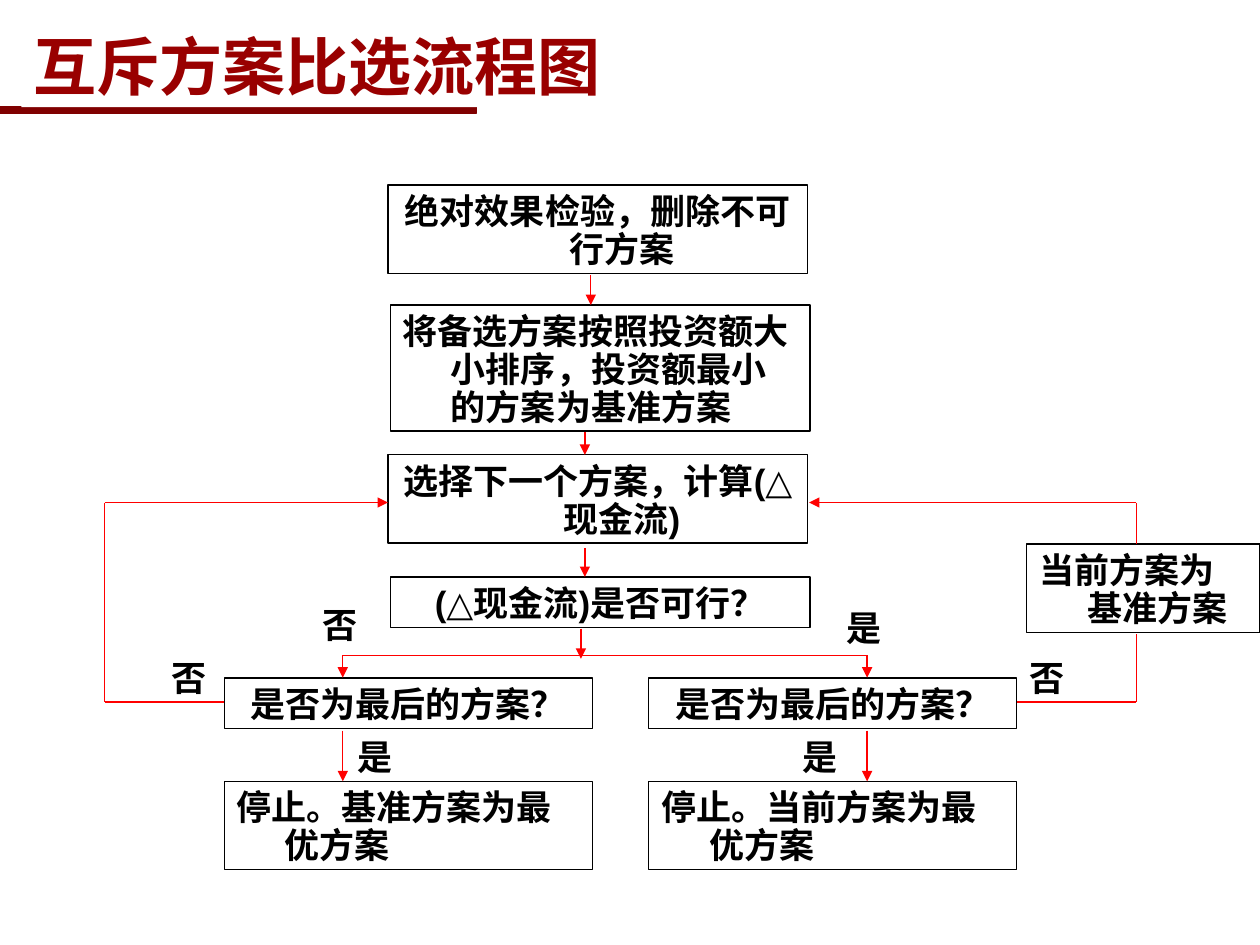
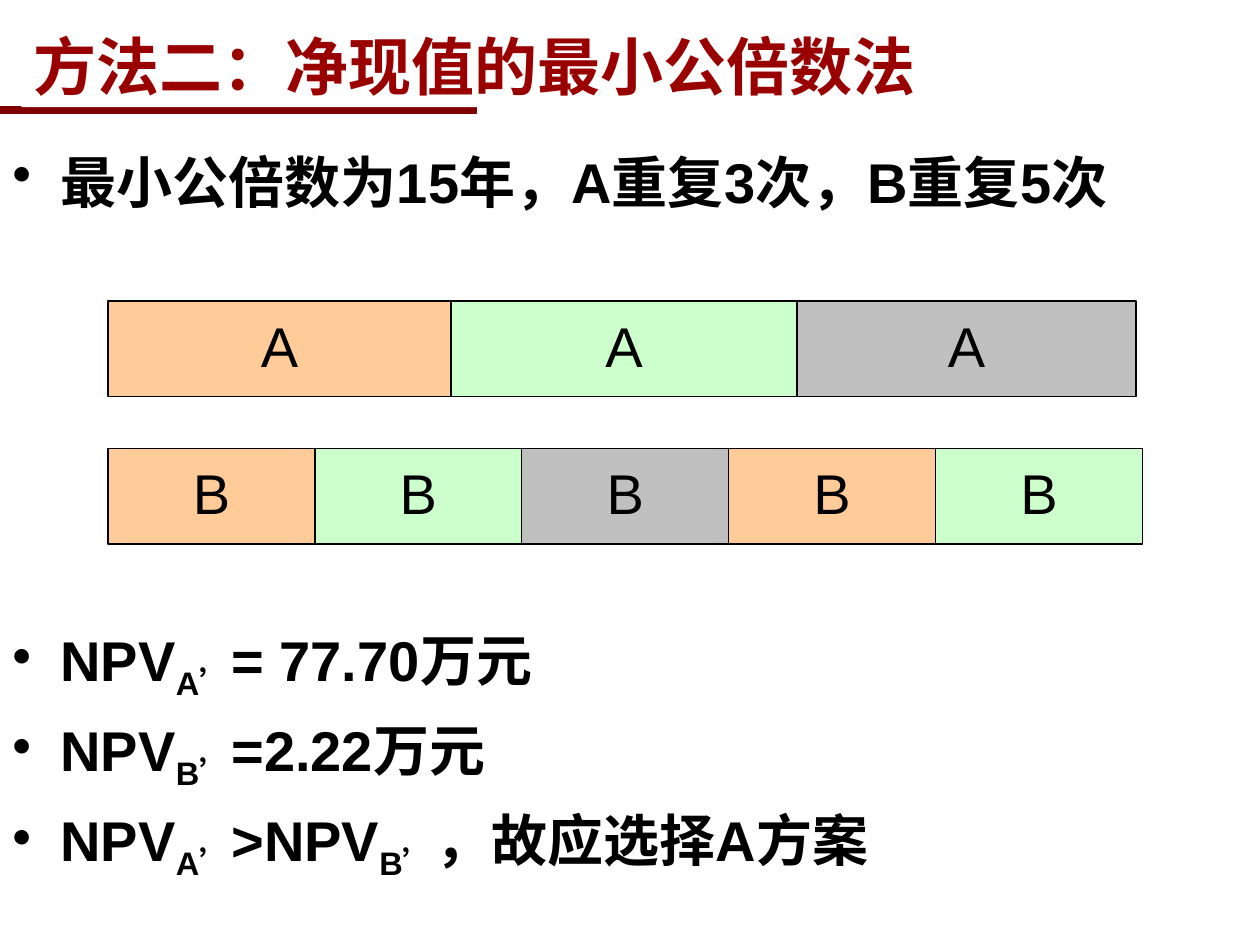
from dataclasses import dataclass
from itertools import cycle, pairwise

from lxml import etree
from pptx import Presentation
from pptx import util as u
from pptx.dml.color import RGBColor
from pptx.enum import shapes, text
from pptx.oxml.ns import qn

Cm, Pt = u.Cm, u.Pt
LEFT, CENTER = text.PP_ALIGN.LEFT, text.PP_ALIGN.CENTER
TOP, MIDDLE = text.MSO_ANCHOR.TOP, text.MSO_ANCHOR.MIDDLE


@dataclass(frozen=True)
class Theme:
    latin: str = "Arial"
    cjk: str = "Noto Sans CJK SC"
    white: str = "FFFFFF"
    ink: str = "000000"
    title: str = "990000"
    band: str = "800000"
    arrow: str = "FF0000"
    cells: tuple = ("FFCC99", "CCFFCC", "C0C0C0")
    title_size: int = 36
    body_size: int = 32
    flow_size: int = 20
    body_pitch: float = 43.5
    flow_pitch: float = 21.6
    line: float = 0.75
    hang: float = 0.97


class Deck:
    def __init__(self, theme):
        self.theme = theme
        self.prs = Presentation()
        self.prs.slide_width, self.prs.slide_height = Cm(25.4), Cm(19.05)
        self.s = None

    def slide(self, title):
        """Start a slide with the shared band and title."""
        t = self.theme
        self.s = self.prs.slides.add_slide(self.prs.slide_layouts[6])
        self.rect((0, 2.16, 9.6, 0.13), t.band, t.band)
        sp = self.rect((0.43, 0.46, 22.71, 1.7), t.white)
        tf = self.frame(sp, vertical_anchor=MIDDLE)
        self.put_run(tf.paragraphs[0], title, t.title_size, t.title)

    def rect(self, at, fill=None, line=None):
        sp = self.s.shapes.add_shape(shapes.MSO_SHAPE.RECTANGLE, *map(Cm, at))
        sp.shadow.inherit = False
        if fill:
            sp.fill.solid()
            sp.fill.fore_color.rgb = RGBColor.from_string(fill)
        else:
            sp.fill.background()
        if line:
            sp.line.color.rgb = RGBColor.from_string(line)
            sp.line.width = Pt(self.theme.line)
        else:
            sp.line.fill.background()
        return sp

    def frame(self, sp, **changes):
        values = {
            "word_wrap": True,
            "vertical_anchor": TOP,
            "margin_left": Cm(0.25),
            "margin_right": Cm(0.25),
            "margin_top": Cm(0.13),
            "margin_bottom": Cm(0.13),
        }
        for name, value in (values | changes).items():
            setattr(sp.text_frame, name, value)
        return sp.text_frame

    def put_run(self, p, words, size, color, bold=True, align=LEFT, sub=False):
        p.alignment = align
        r = p.add_run()
        r.text = words
        style = {"name": self.theme.latin, "size": Pt(size), "bold": bold}
        for name, value in style.items():
            setattr(r.font, name, value)
        r.font.color.rgb = RGBColor.from_string(color)
        rPr = r.font._element
        if sub:
            rPr.set("baseline", "-25000")
        ea = etree.Element(qn("a:ea"), typeface=self.theme.cjk)
        rPr.find(qn("a:latin")).addnext(ea)

    def hang(self, p, bullet=None):
        pPr = p._p.get_or_add_pPr()
        indent = Cm(self.theme.hang)
        pPr.set("marL", str(indent))
        pPr.set("indent", str(-indent))
        if bullet:
            etree.SubElement(pPr, qn("a:buChar"), char=bullet)

    def flow_text(self, sp, words, align=LEFT):
        t = self.theme
        p = self.frame(sp, margin_top=Cm(0.18)).paragraphs[0]
        self.hang(p)
        p.line_spacing = Pt(t.flow_pitch)
        self.put_run(p, words, t.flow_size, t.ink, align=align)

    def step(self, at, words, align=LEFT):
        self.flow_text(self.rect(at, line=self.theme.ink), words, align)

    def label(self, x, y, words):
        sp = self.s.shapes.add_textbox(*map(Cm, (x, y, 1.32, 1.02)))
        self.flow_text(sp, words)

    def route(self, *points, arrow=True):
        """Join the points with straight lines, the last one arrowed."""
        for start, end in pairwise(points):
            c = self.s.shapes.add_connector(
                shapes.MSO_CONNECTOR.STRAIGHT, *map(Cm, start + end))
            c.line.color.rgb = RGBColor.from_string(self.theme.arrow)
            c.line.width = Pt(self.theme.line)
            if arrow and end == points[-1]:
                etree.SubElement(c.line._get_or_add_ln(), qn("a:tailEnd"), type="triangle")
            etree.SubElement(c._element.spPr, qn("a:effectLst"))

    def bullets(self, at, lines):
        """Add bulleted lines; every second part of a line is a subscript."""
        t = self.theme
        sp = self.s.shapes.add_textbox(*map(Cm, at))
        tf = self.frame(sp, margin_right=0)
        for i, parts in enumerate(lines):
            p = tf.add_paragraph() if i else tf.paragraphs[0]
            self.hang(p, "•")
            p.line_spacing = Pt(t.body_pitch)
            p.space_before = Pt(8 if i else 0)
            for k, words in enumerate(parts):
                self.put_run(p, words, t.body_size, t.ink, sub=k % 2 == 1)

    def period_row(self, y, name, widths):
        """Draw one plan's repeated lives side by side."""
        t = self.theme
        x = 2.18
        for width, fill in zip(widths, cycle(t.cells)):
            sp = self.rect((x, y, width, 1.93), fill, t.ink)
            tf = self.frame(sp, word_wrap=False, vertical_anchor=MIDDLE)
            p = tf.paragraphs[0]
            p.line_spacing = 0.9
            self.put_run(p, name, t.body_size, t.ink, bold=False, align=CENTER)
            x += width


def selection_flow(deck):
    deck.slide("互斥方案比选流程图")
    main_w, branch_w = 8.46, 7.42
    one, two, three = 1.02, 1.78, 2.54  # heights by number of text lines
    no_x, yes_x = 6.91, 17.48
    left_x, right_x, loop_y, exit_y, split_y = 2.11, 22.91, 10.13, 14.15, 13.21

    deck.step((7.82, 3.73, main_w, two), "绝对效果检验，删除不可行方案", CENTER)
    deck.step((7.87, 6.15, main_w, three),
              "将备选方案按照投资额大小排序，投资额最小的方案为基准方案")
    deck.step((7.82, 9.17, main_w, two), "选择下一个方案，计算(△现金流)", CENTER)
    deck.step((7.87, 11.63, main_w, one), "(△现金流)是否可行？", CENTER)
    for x, best in ((4.52, "基准"), (13.08, "当前")):
        deck.step((x, 13.67, branch_w, one), "是否为最后的方案？", CENTER)
        deck.step((x, 15.75, branch_w, two), f"停止。{best}方案为最优方案")
    deck.step((20.7, 10.97, 4.7, two), "当前方案为基准方案")

    for x, top, bottom in ((11.91, 5.54, 6.15), (11.79, 8.71, 9.17),
                           (11.79, 11.05, 11.63), (11.71, 12.67, 13.28)):
        deck.route((x, top), (x, bottom))
    deck.route((no_x, split_y), (yes_x, split_y), arrow=False)
    for x in (no_x, yes_x):
        deck.route((x, split_y), (x, 13.66))
        deck.route((x, 14.73), (x, 15.75))
    deck.route((4.52, exit_y), (left_x, exit_y), (left_x, loop_y), (7.82, loop_y))
    deck.route((20.5, exit_y), (right_x, exit_y), (right_x, 12.78), arrow=False)
    deck.route((right_x, 10.97), (right_x, loop_y), (16.31, loop_y))

    for x, y, answer in ((16.81, 12.14, "是"), (6.25, 12.07, "否"),
                         (3.2, 13.13, "否"), (20.5, 13.13, "否"),
                         (6.96, 14.73, "是"), (15.93, 14.73, "是")):
        deck.label(x, y, answer)


def common_multiple(deck):
    deck.slide("方法二：净现值的最小公倍数法")
    deck.bullets((0, 2.67, 25.4, 1.8), [["最小公倍数为15年，A重复3次，B重复5次"]])
    deck.period_row(6.07, "A", [6.91, 6.98, 6.83])
    deck.period_row(9.04, "B", [4.17] * 5)
    deck.bullets((0, 12.48, 25.4, 5.6), [
        ["NPV", "A’", "= 77.70万元"],
        ["NPV", "B’", "=2.22万元"],
        ["NPV", "A’", ">NPV", "B’", "，故应选择A方案"],
    ])


def main():
    deck = Deck(Theme())
    selection_flow(deck)
    common_multiple(deck)
    deck.prs.save("out.pptx")


if __name__ == "__main__":
    main()
